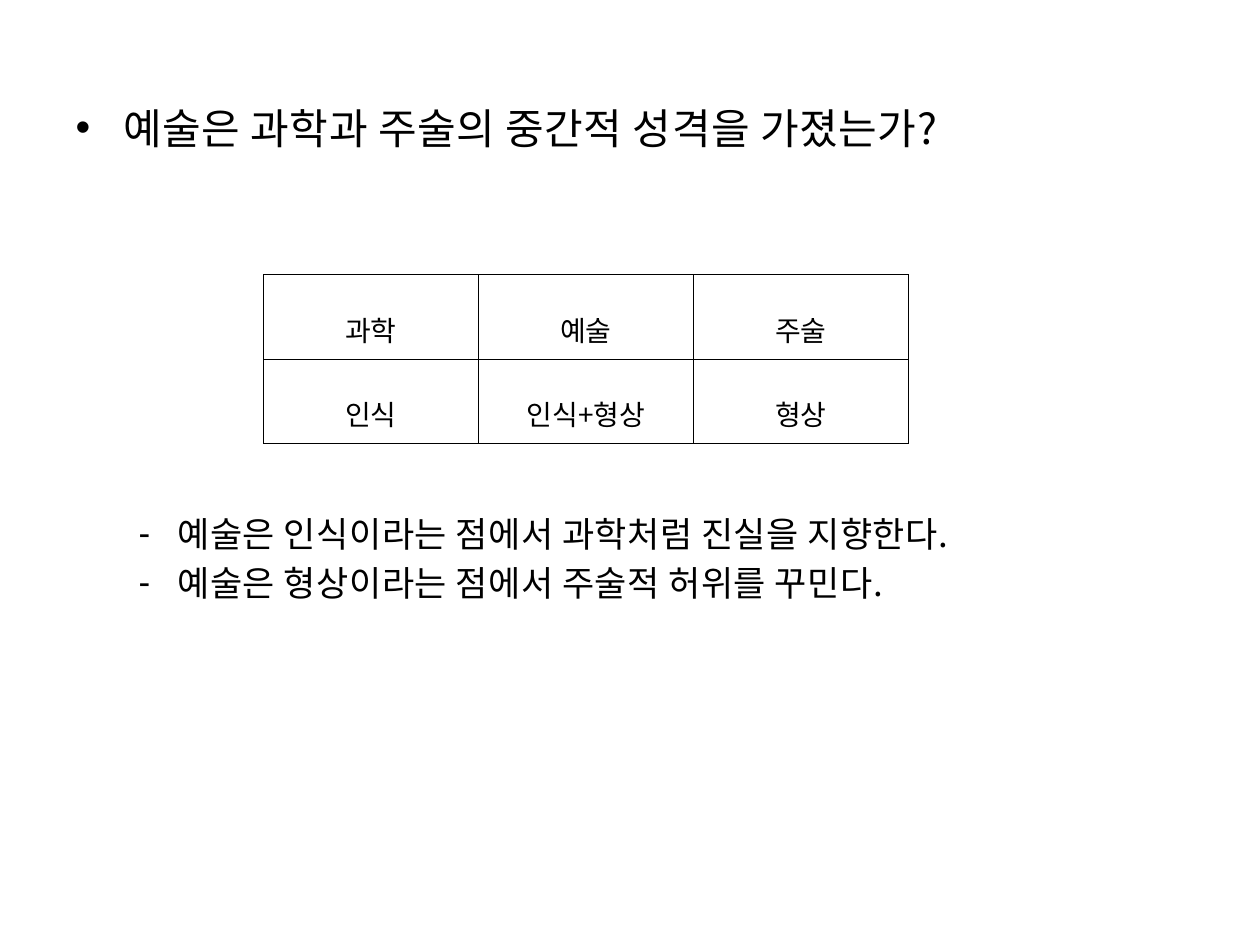
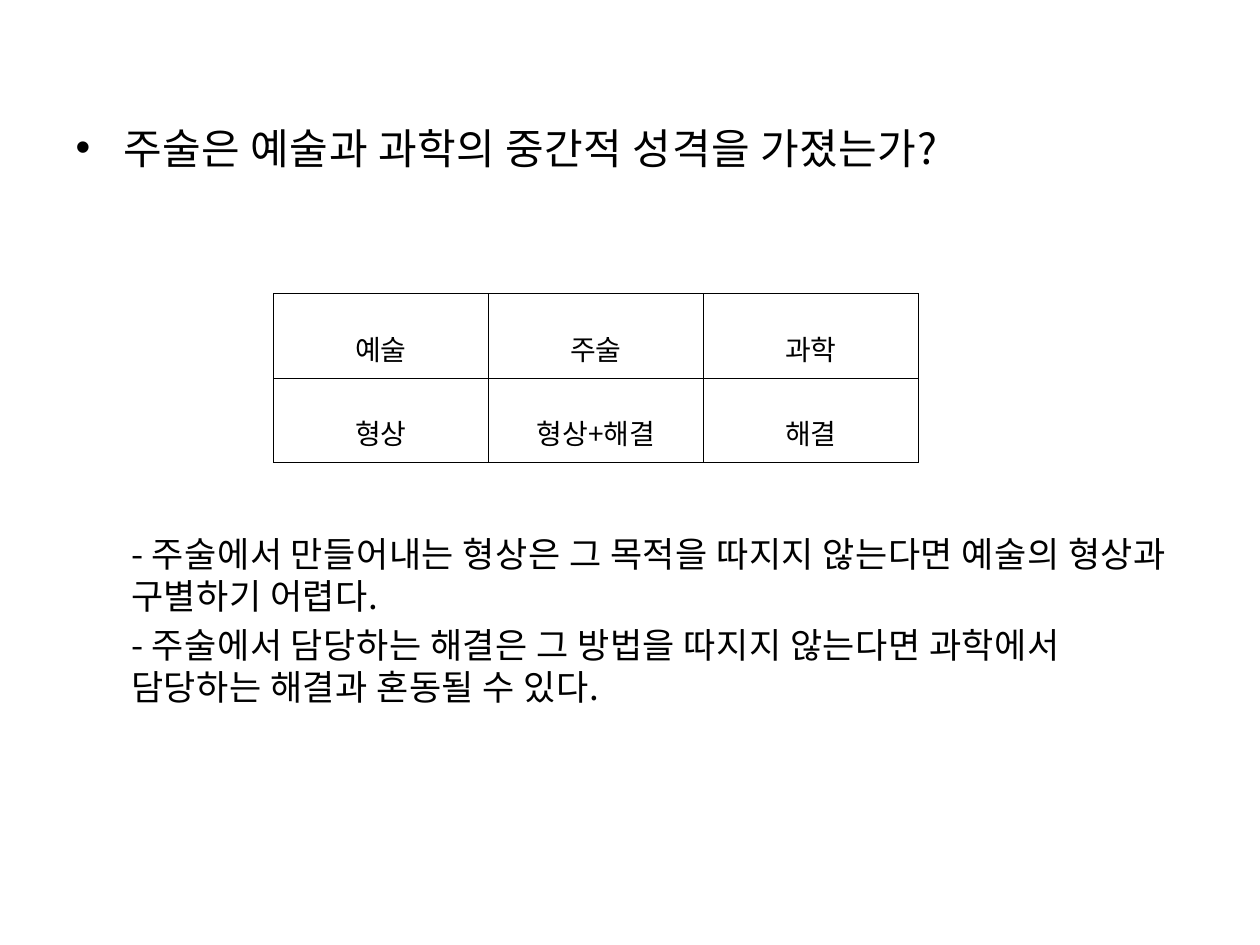
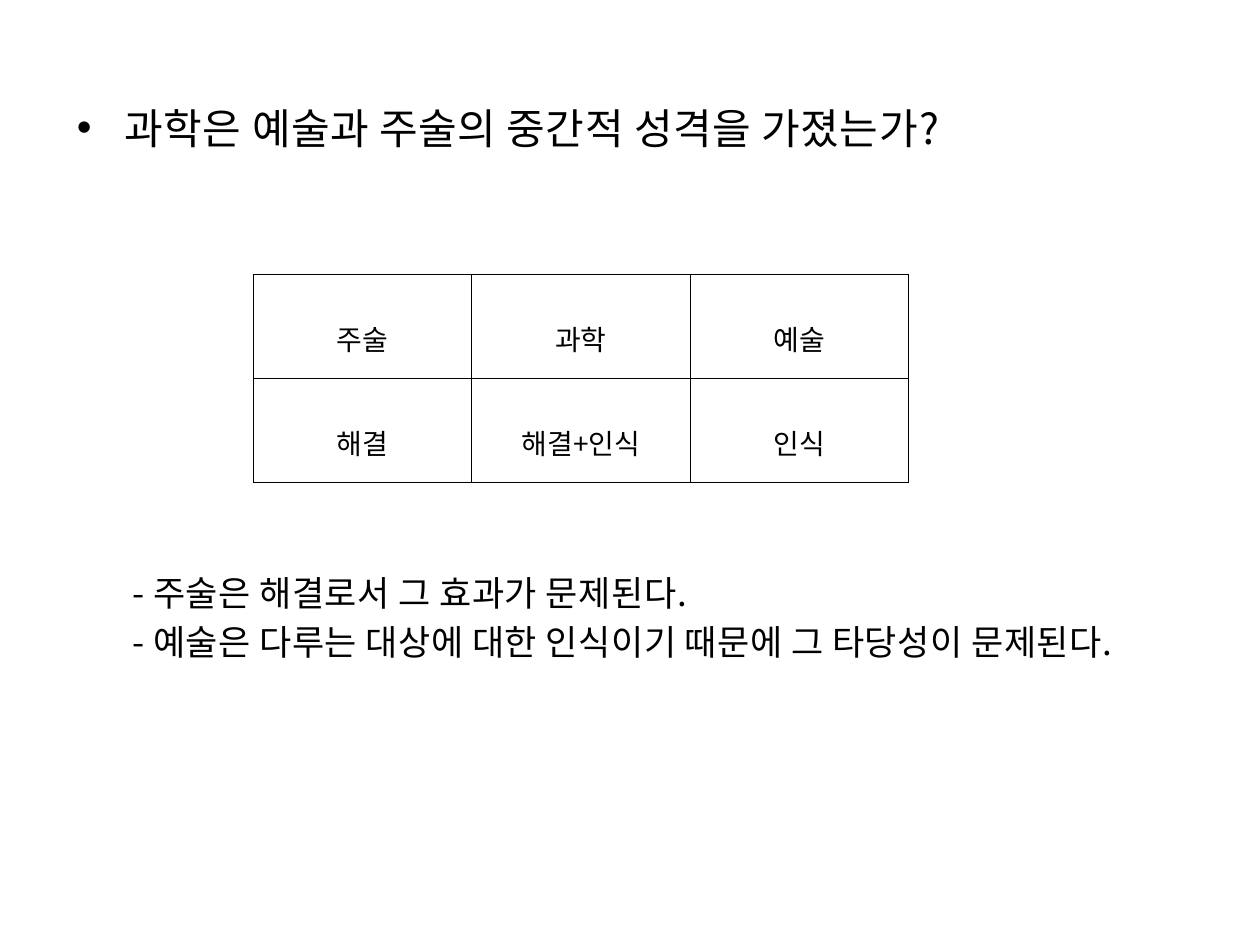
from dataclasses import dataclass

from lxml import etree
from pptx import Presentation
from pptx.dml.color import RGBColor
from pptx.enum.text import MSO_ANCHOR, MSO_AUTO_SIZE, PP_ALIGN
from pptx.oxml.ns import qn
from pptx.util import Inches, Pt

MIDDLE, CENTER, FIXED = MSO_ANCHOR.MIDDLE, PP_ALIGN.CENTER, MSO_AUTO_SIZE.NONE
WIDE, HIGH = 10, 7.5
FONT, INK, PAPER = "Noto Sans CJK KR", "000000", "FFFFFF"
HEAD, NOTE, CELL = 24, 20, 16  # text sizes in points
TRACK = 1.3                    # letter spacing of the body, percent of size
STEP = 33.6                    # one line of gap below the question, in points
BASE = 6.7                     # lower edge of the body, in inches


@dataclass
class Mark:
    """Bullet sign with its left margin and first-line indent in inches."""
    sign: str
    left: float
    first: float


@dataclass
class Grid:
    """Table place and size in inches, with its words."""
    left: float
    top: float
    width: float
    height: float
    words: list[list[str]]


@dataclass
class Page:
    """One question with its table and notes."""
    ask: str
    left: float
    top: float
    gap: int
    grid: Grid
    mark: Mark
    notes: list[str]


DOT = Mark("•", 0.38, -0.38)
DASH = Mark("-", 0.81, -0.31)
PLAIN = Mark("", 0.44, 0)

PAGES = [
    Page("예술은 과학과 주술의 중간적 성격을 가졌는가?", 0.5, 0.76, 6,
         Grid(2.09, 2.18, 5.12, 1.34,
              [["과학", "예술", "주술"], ["인식", "인식+형상", "형상"]]),
         DASH,
         ["예술은 인식이라는 점에서 과학처럼 진실을 지향한다.",
          "예술은 형상이라는 점에서 주술적 허위를 꾸민다."]),
    Page("주술은 예술과 과학의 중간적 성격을 가졌는가?", 0.5, 0.92, 6,
         Grid(2.17, 2.33, 5.12, 1.34,
              [["예술", "주술", "과학"], ["형상", "형상+해결", "해결"]]),
         PLAIN,
         ["- 주술에서 만들어내는 형상은 그 목적을 따지지 않는다면 "
          "예술의 형상과 구별하기 어렵다.",
          "- 주술에서 담당하는 해결은 그 방법을 따지지 않는다면 "
          "과학에서 담당하는 해결과 혼동될 수 있다."]),
    Page("과학은 예술과 주술의 중간적 성격을 가졌는가?", 0.51, 0.76, 7,
         Grid(2.01, 2.18, 5.2, 1.65,
              [["주술", "과학", "예술"], ["해결", "해결+인식", "인식"]]),
         PLAIN,
         ["- 주술은 해결로서 그 효과가 문제된다.",
          "- 예술은 다루는 대상에 대한 인식이기 때문에 그 타당성이 문제된다."]),
]


def tint(code: str) -> RGBColor:
    """Turn a hex string into a colour."""
    return RGBColor.from_string(code)


def style(para, size: float, track: float = 0) -> None:
    """Set font, size, colour and letter spacing on a paragraph's runs."""
    for run in para.runs:
        run.font.name = FONT
        run.font.size = Pt(size)
        run.font.color.rgb = tint(INK)
        props = run.font._element
        props.set("spc", str(round(size * track)))
        etree.SubElement(props, qn("a:ea")).set("typeface", FONT)


def item(para, text: str, size: float, mark: Mark, before: float) -> None:
    """Fill one body paragraph with its bullet, indent and spacing."""
    para.text = text
    para.line_spacing = 1.0
    para.space_before = Pt(before)
    props = para._p.get_or_add_pPr()
    props.set("marL", str(Inches(mark.left)))
    props.set("indent", str(Inches(mark.first)))
    if mark.sign:
        etree.SubElement(props, qn("a:buChar")).set("char", mark.sign)
    else:
        etree.SubElement(props, qn("a:buNone"))
    style(para, size, TRACK)


def body(slide, page: Page) -> None:
    """Write the question and its notes in the body placeholder."""
    box = slide.placeholders[1]
    box.left, box.top = Inches(page.left), Inches(page.top)
    box.width, box.height = Inches(0.9 * WIDE), Inches(BASE - page.top)
    frame = box.text_frame
    frame.auto_size = FIXED
    item(frame.paragraphs[0], page.ask, HEAD, DOT, HEAD * 0.2)
    for i, note in enumerate(page.notes):
        para = frame.add_paragraph()
        para.level = 1
        gap = page.gap * STEP if i == 0 else 0
        item(para, note, NOTE, page.mark, NOTE * 0.2 + gap)


def edge(cell) -> None:
    """Draw a hairline on all four sides of a cell."""
    props = cell._tc.get_or_add_tcPr()
    for i, side in enumerate(("a:lnL", "a:lnR", "a:lnT", "a:lnB")):
        line = etree.Element(qn(side), w=str(Pt(0.28)))
        fill = etree.SubElement(line, qn("a:solidFill"))
        etree.SubElement(fill, qn("a:srgbClr")).set("val", INK)
        props.insert(i, line)


def table(slide, grid: Grid) -> None:
    """Add the table of terms, with equal columns and rows."""
    rows, cols = len(grid.words), len(grid.words[0])
    tab = slide.shapes.add_table(
        rows, cols, Inches(grid.left), Inches(grid.top),
        Inches(grid.width), Inches(grid.height)).table
    tab.first_row = tab.horz_banding = False
    for r, line in enumerate(grid.words):
        for c, word in enumerate(line):
            cell = tab.cell(r, c)
            cell.fill.background()
            cell.vertical_anchor = MIDDLE
            cell.margin_left = cell.margin_right = Inches(0.02)
            cell.margin_top = cell.margin_bottom = Inches(0.02)
            para = cell.text_frame.paragraphs[0]
            para.text = word
            para.alignment = CENTER
            para.line_spacing = 1.6
            style(para, CELL)
            edge(cell)


def main() -> None:
    """Build the deck and save it."""
    deck = Presentation()
    deck.slide_width, deck.slide_height = Inches(WIDE), Inches(HIGH)
    back = deck.slide_master.background.fill
    back.solid()
    back.fore_color.rgb = tint(PAPER)
    for page in PAGES:
        slide = deck.slides.add_slide(deck.slide_layouts[1])
        title = slide.shapes.title._element
        title.getparent().remove(title)
        body(slide, page)
        table(slide, page.grid)
    deck.save("out.pptx")


main()
